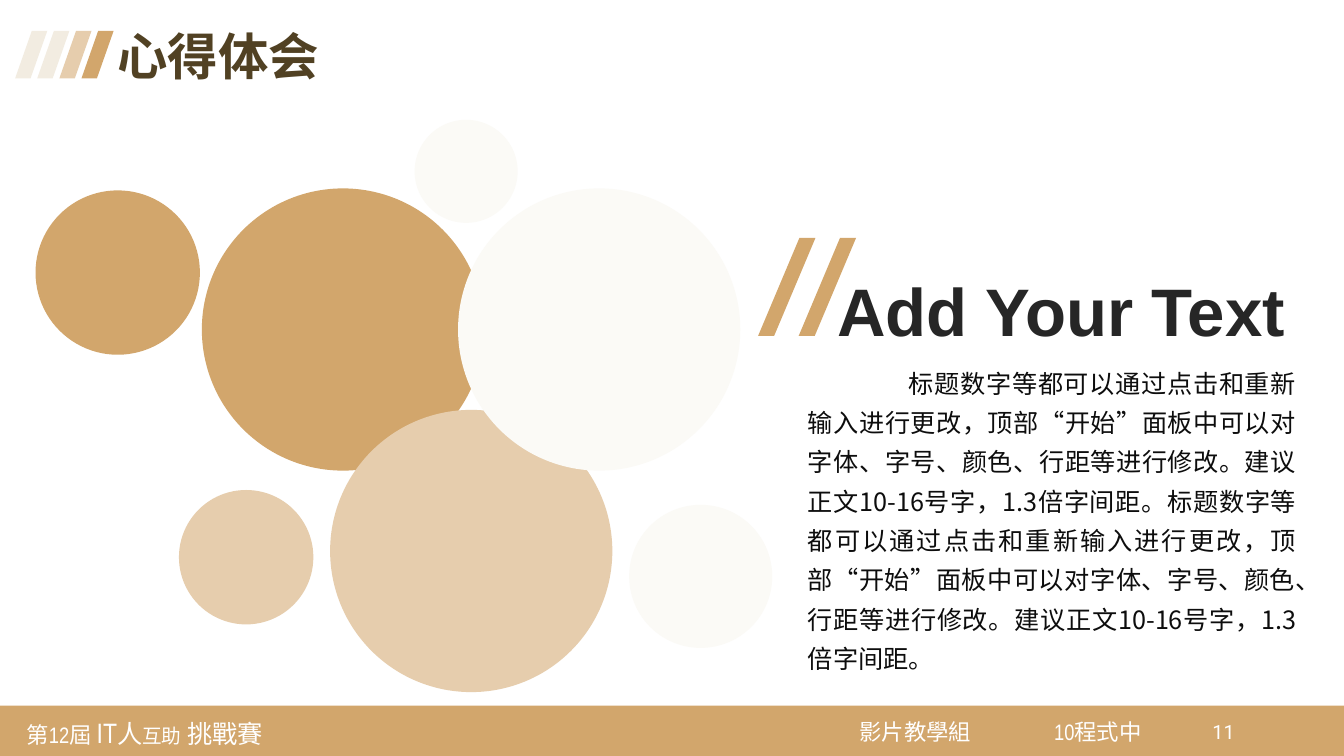
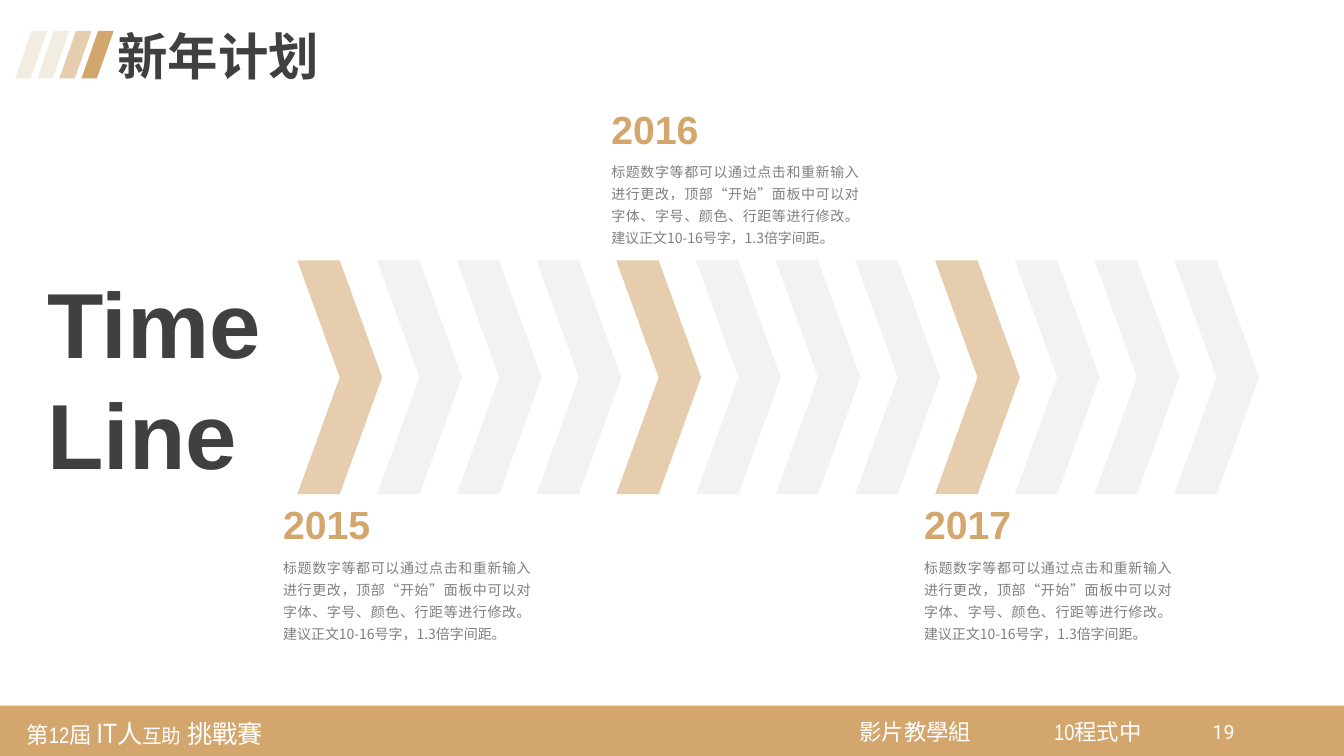
from dataclasses import dataclass

from pptx import Presentation
from pptx import util as u
from pptx.dml import color
from pptx.enum import shapes, text
from pptx.oxml import ns

SHAPE = shapes.MSO_SHAPE
JUSTIFY = text.PP_ALIGN.JUSTIFY


@dataclass(frozen=True)
class Theme:
    # Colours
    gold: str = "D2A66C"
    sand: str = "E6CDAD"
    cream: str = "F2ECE1"
    ivory: str = "FBFAF6"
    pale_grey: str = "F2F2F2"
    grey: str = "808080"
    charcoal: str = "404040"
    ink: str = "262626"
    black: str = "0D0D0D"
    brown: str = "514123"
    white: str = "FFFFFF"
    # Fonts
    heading_font: str = "Arial"
    body_font: str = "Noto Sans CJK SC"
    footer_font: str = "Arial Narrow"
    number_font: str = "Roboto"
    # Type sizes
    display: int = 66
    headline: int = 48
    title: int = 36
    year: int = 28
    body: int = 18
    footer: int = 16
    number: int = 14
    small: int = 10


THEME = Theme()
GUIDANCE = ("标题数字等都可以通过点击和重新输入进行更改，顶部“开始”面板中可以对"
            "字体、字号、颜色、行距等进行修改。建议正文10-16号字，1.3倍字间距。")


def points(*values):
    return [u.Pt(value) for value in values]


def add_shape(slide, kind, box, fill, adjustment=None):
    shape = slide.shapes.add_shape(kind, *points(*box))
    shape.shadow.inherit = False
    shape.fill.solid()
    shape.fill.fore_color.rgb = color.RGBColor.from_string(fill)
    shape.line.fill.background()
    if adjustment is not None:
        shape.adjustments[0] = adjustment
    return shape


def add_text(slide, box, paragraphs, size, fill, font=THEME.heading_font, bold=False,
             wrap=True, inset=None, indent=0, frame_format=None, **paragraph_format):
    """Each paragraph is a string or a list of (text, size) runs."""
    frame = slide.shapes.add_textbox(*points(*box)).text_frame
    frame.word_wrap = wrap
    for name, value in (frame_format or {}).items():
        setattr(frame, name, value)
    if inset is not None:
        for side in ("left", "top", "right", "bottom"):
            setattr(frame, f"margin_{side}", u.Pt(inset))
    for index, content in enumerate(paragraphs):
        paragraph = frame.add_paragraph() if index else frame.paragraphs[0]
        for name, value in paragraph_format.items():
            setattr(paragraph, name, value)
        if indent:
            paragraph._p.get_or_add_pPr().set("indent", str(u.Pt(indent)))
        runs = [(content, size)] if isinstance(content, str) else content
        for run_text, run_size in runs:
            run = paragraph.add_run()
            run.text = run_text
            run.font.color.rgb = color.RGBColor.from_string(fill)
            for name, value in {"size": u.Pt(run_size), "name": font, "bold": bold}.items():
                setattr(run.font, name, value)
            # East Asian typeface follows the Latin one
            east_asian = run._r.makeelement(ns.qn("a:ea"), {"typeface": THEME.body_font})
            run.font._element.find(ns.qn("a:latin")).addnext(east_asian)


# Parts shared by the slides

def add_footer(slide, number, box):
    left, top, width, height = box
    add_shape(slide, SHAPE.RECTANGLE, box, THEME.gold)
    event = [("第12屆 ", 16), ("IT", 20), ("人", 18), ("互助", 14), (" 挑戰賽", 18)]
    labels = [
        ((left + 13, top + 1.5, 204, 35), event),
        ((left + 608, top + 3, 96, 31), "影片教學組"),
        ((left + 747, top + 3, 96, 31), "10程式中"),
    ]
    for label_box, label in labels:
        add_text(slide, label_box, [label], THEME.footer, THEME.white, THEME.footer_font,
                 inset=6, frame_format={"vertical_anchor": text.MSO_ANCHOR.MIDDLE})
    add_text(slide, (left + 859, top + 6.5, 30, 29), [str(number)],
             THEME.number, THEME.white, THEME.number_font)


def add_title(slide, title, fill, box):
    left, top, width, height = box
    stripes = (THEME.cream, THEME.cream, THEME.sand, THEME.gold)
    for index, stripe in enumerate(stripes):
        stripe_box = (left + 15.8 * index, top + 2.5, 23, 34)
        add_shape(slide, SHAPE.PARALLELOGRAM, stripe_box, stripe, 0.52)
    add_text(slide, (left + 66, top, width - 66, height), [title],
             THEME.title, fill, bold=True, line_spacing=0.9)


def add_page(presentation, title, title_fill, number):
    slide = presentation.slides.add_slide(presentation.slide_layouts[6])
    add_footer(slide, number, (0, 504, 960, 36))
    add_title(slide, title, title_fill, (10.8, 19.5, 278, 47))
    return slide


# Reflections slide

def add_bubbles(slide, box):
    left, top, width, height = box
    bubbles = [
        (0, 50.4, 117.4, THEME.gold),
        (118.8, 49, 201.6, THEME.gold),
        (210.4, 207.2, 201.6, THEME.sand),
        (301.8, 49, 201.6, THEME.ivory),
        (424, 275, 102.2, THEME.ivory),
        (270.8, 0, 73.6, THEME.ivory),
        (102.4, 264.4, 96, THEME.sand),
    ]
    for x, y, diameter, fill in bubbles:
        add_shape(slide, SHAPE.OVAL, (left + x, top + y, diameter, diameter), fill)


def add_message(slide, box):
    left, top, width, height = box
    for index in range(2):
        slash_box = (left + 29 * index, top, 41, 70)
        add_shape(slide, SHAPE.PARALLELOGRAM, slash_box, THEME.gold, 0.72)
    add_text(slide, (left + 49.5, top + 18.6, 338, 65), ["Add Your Text"],
             THEME.headline, THEME.ink, bold=True, wrap=False)
    add_text(slide, (left + 28.5, top + 83, width - 28.5, height - 83), [GUIDANCE * 2],
             THEME.body, THEME.black, THEME.body_font, indent=72,
             alignment=JUSTIFY, line_spacing=1.3)


def add_reflections_slide(presentation):
    slide = add_page(presentation, "心得体会", THEME.brown, 11)
    add_bubbles(slide, (25.4, 85.6, 526, 409))
    add_message(slide, (541.5, 170, 391.5, 317))


# Timeline slide

def add_chevrons(slide, box, count=12, highlight_every=4):
    left, top, width, height = box
    chevron_width = 60.6
    step = (width - chevron_width) / (count - 1)
    for index in range(count):
        fill = THEME.pale_grey if index % highlight_every else THEME.sand
        add_shape(slide, SHAPE.CHEVRON, (left + step * index, top, chevron_width, height), fill)


def add_milestone(slide, year, box):
    left, top, width, height = box
    add_text(slide, (left, top, 78, 41), [year], THEME.year, THEME.gold,
             bold=True, wrap=False)
    add_text(slide, (left, top + 38.4, width, height - 38.4), [GUIDANCE],
             THEME.small, THEME.grey, THEME.body_font,
             alignment=JUSTIFY, line_spacing=1.3)


def add_timeline_slide(presentation):
    slide = add_page(presentation, "新年计划", THEME.charcoal, 19)
    add_text(slide, (26.6, 186.5, 169, 167), ["Time", "Line"], THEME.display,
             THEME.charcoal, bold=True, wrap=False, alignment=JUSTIFY)
    add_chevrons(slide, (212.4, 186, 687, 167))
    for year, left, top in (("2015", 195.2, 354.2), ("2016", 429.6, 71.4), ("2017", 653, 354.2)):
        add_milestone(slide, year, (left, top, 191, 109))


def main():
    presentation = Presentation()
    presentation.slide_width, presentation.slide_height = points(960, 540)
    add_reflections_slide(presentation)
    add_timeline_slide(presentation)
    presentation.save("out.pptx")


if __name__ == "__main__":
    main()
